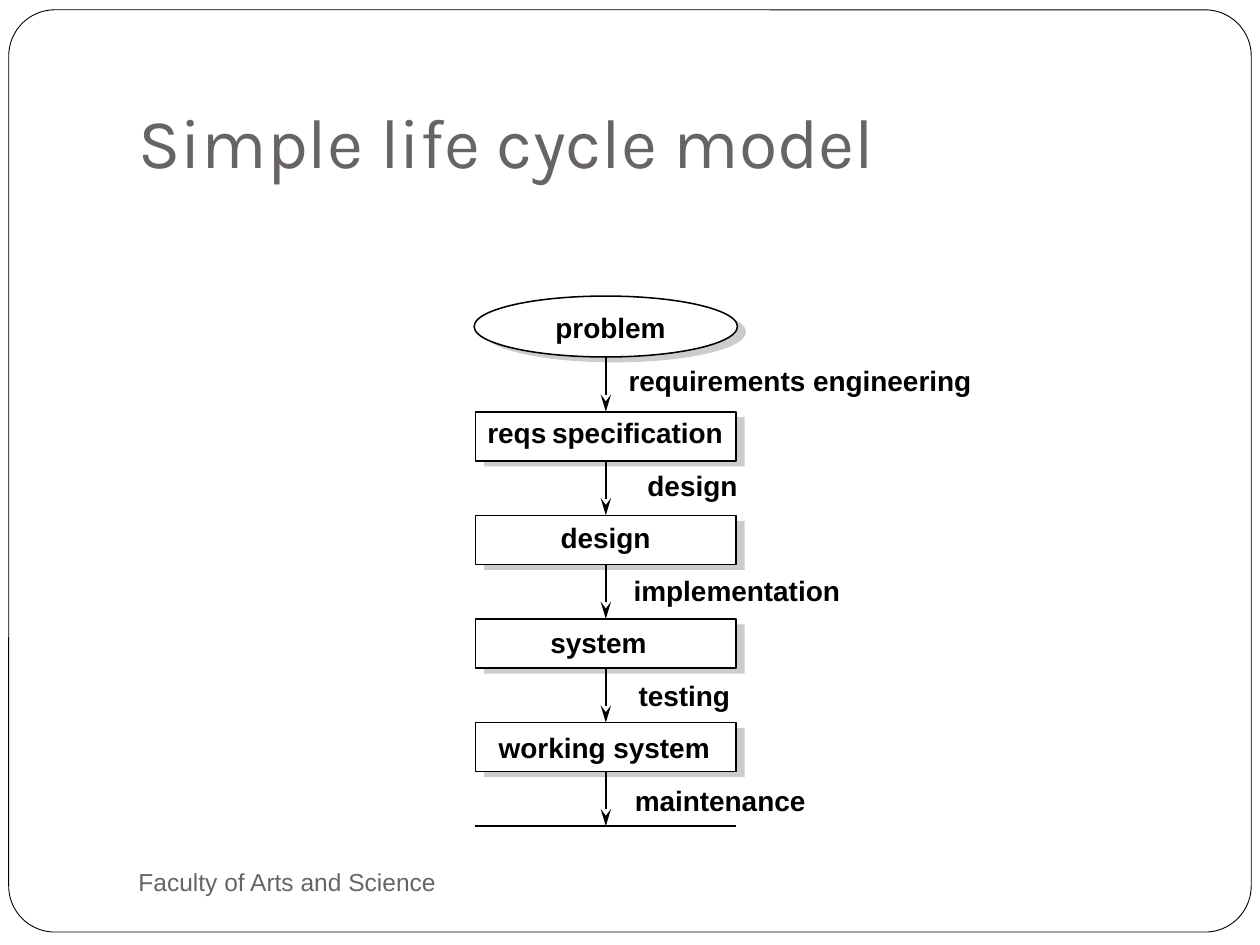
from lxml import etree
from pptx import Presentation
from pptx.dml.color import RGBColor
from pptx.enum import shapes as s, text as t
from pptx.oxml.ns import qn
from pptx.util import Pt

TITLE = "Simple life cycle model"
FOOT = "Faculty of Arts and Science"
LABELS = [
    (["problem"], 310.3, 82),
    (["requirements engineering"], 352.1, 212),
    (["reqs", " ", "specification"], 271.4, 151),
    (["design"], 362.9, 68),
    (["design"], 313.2, 68),
    (["implementation"], 355, 134),
    (["system"], 307.4, 71),
    (["testing"], 357.8, 68),
    (["working system"], 277.9, 137),
    (["maintenance"], 355.7, 114),
]
THEME = {
    "ink": "000000", "gray": "696464", "shade": "CCCCCC", "paper": "FFFFFF",
    "head": "Karla", "body": "Arial",
    "big": 40, "text": 16, "foot": 14, "gap": 12, "rule": 0.88, "edge": 0.5,
}
AXIS, WIDE, TALL = 346.2, 149, 28.1
TOP, STEP, BOXES = 235.3, 59.2, 4
OVAL = (270.9, 169.2, 150.5, 34.8)
DROP = (4.9, 3.1)
ROW, LEAD, HIGH = 174.2, 30, 26.6


def color(key):
    return RGBColor.from_string(THEME[key])


def put(obj, vals):
    for key, val in vals.items():
        setattr(obj, key, val)


def style(run, face, size, ink, bold=False):
    put(run.font, {"name": THEME[face], "size": Pt(THEME[size]), "bold": bold})
    run.font.color.rgb = color(ink)


def block(kind, area, fill, line=None):
    shape = slide.shapes.add_shape(kind, *map(Pt, area))
    shape.shadow.inherit = False
    shape.fill.solid()
    shape.fill.fore_color.rgb = color(fill)
    if line:
        shape.line.color.rgb = color("ink")
        shape.line.width = Pt(THEME[line])
    else:
        shape.line.fill.background()
    return shape


def stage(kind, area):
    x, y, w, h = area
    block(kind, (x + DROP[0], y + DROP[1], w, h), "shade")
    return block(kind, area, "paper", "rule")


def link(x1, y1, x2, y2, arrow=True):
    line = slide.shapes.add_connector(s.MSO_CONNECTOR.STRAIGHT, *map(Pt, (x1, y1, x2, y2)))
    line.line.color.rgb = color("ink")
    line.line.width = Pt(THEME["rule"])
    if arrow:
        etree.SubElement(line.line._get_or_add_ln(), qn("a:tailEnd"),
                         type="stealth", w="med", len="lg")
    etree.SubElement(line._element.spPr, qn("a:effectLst"))
    return line


def label(area, parts, size, ink, bold, anchor):
    box = slide.shapes.add_textbox(*map(Pt, area))
    put(box.text_frame, {"word_wrap": True, "vertical_anchor": anchor})
    for part in parts:
        run = box.text_frame.paragraphs[0].add_run()
        run.text = part
        style(run, "body", size if part.strip() else "gap", ink, bold)


deck = Presentation()
put(deck, {"slide_width": Pt(720), "slide_height": Pt(540)})
slide = deck.slides.add_slide(deck.slide_layouts[5])

frame = block(s.MSO_SHAPE.ROUNDED_RECTANGLE, (5, 5.6, 710, 527), "paper", "edge")
frame.adjustments[0] = 0.05
slide.shapes._spTree.insert(2, frame._element)

title = slide.shapes.title
put(title, {"left": Pt(72), "top": Pt(21.6), "width": Pt(612), "height": Pt(90)})
put(title.text_frame, {
    "text": TITLE, "word_wrap": True, "auto_size": t.MSO_AUTO_SIZE.NONE,
    "vertical_anchor": t.MSO_ANCHOR.BOTTOM, "margin_bottom": Pt(7.2),
})
para = title.text_frame.paragraphs[0]
para.alignment = t.PP_ALIGN.LEFT
style(para.runs[0], "head", "big", "gray")

label((72, 486, 312, 36), [FOOT], "foot", "gray", False, t.MSO_ANCHOR.MIDDLE)

left = AXIS - WIDE / 2
stage(s.MSO_SHAPE.OVAL, OVAL)
boxes = [stage(s.MSO_SHAPE.RECTANGLE, (left, TOP + i * STEP, WIDE, TALL))
         for i in range(BOXES)]
end = TOP + BOXES * STEP
link(left + WIDE, end, left, end, arrow=False)

starts = [OVAL[1] + OVAL[3]] + [TOP + i * STEP + TALL for i in range(BOXES)]
for i, y in enumerate(starts):
    line = link(AXIS, y, AXIS, TOP + i * STEP)
    if i > 0:
        line.begin_connect(boxes[i - 1], 2)
    if i < BOXES:
        line.end_connect(boxes[i], 0)

for i, (parts, x, w) in enumerate(LABELS):
    label((x, ROW + i * LEAD, w, HIGH), parts, "text", "ink", True, t.MSO_ANCHOR.TOP)

deck.save("out.pptx")
